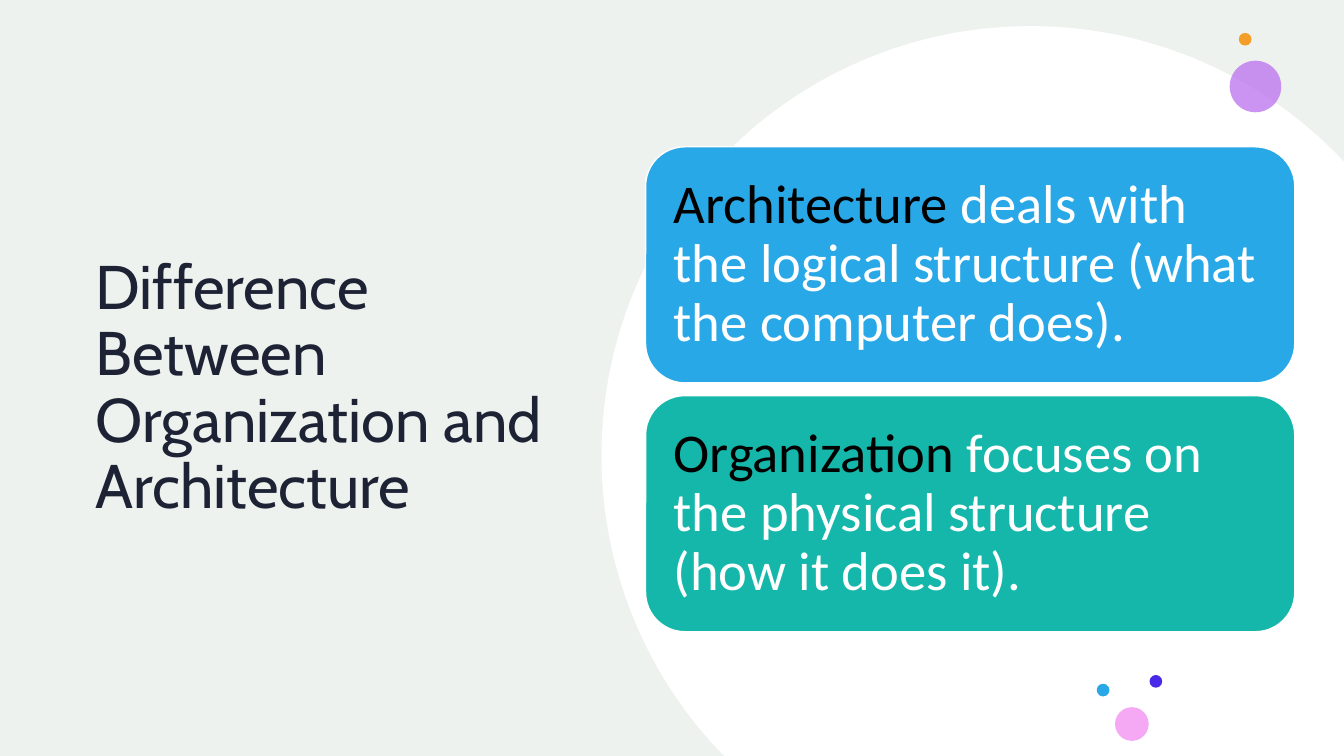
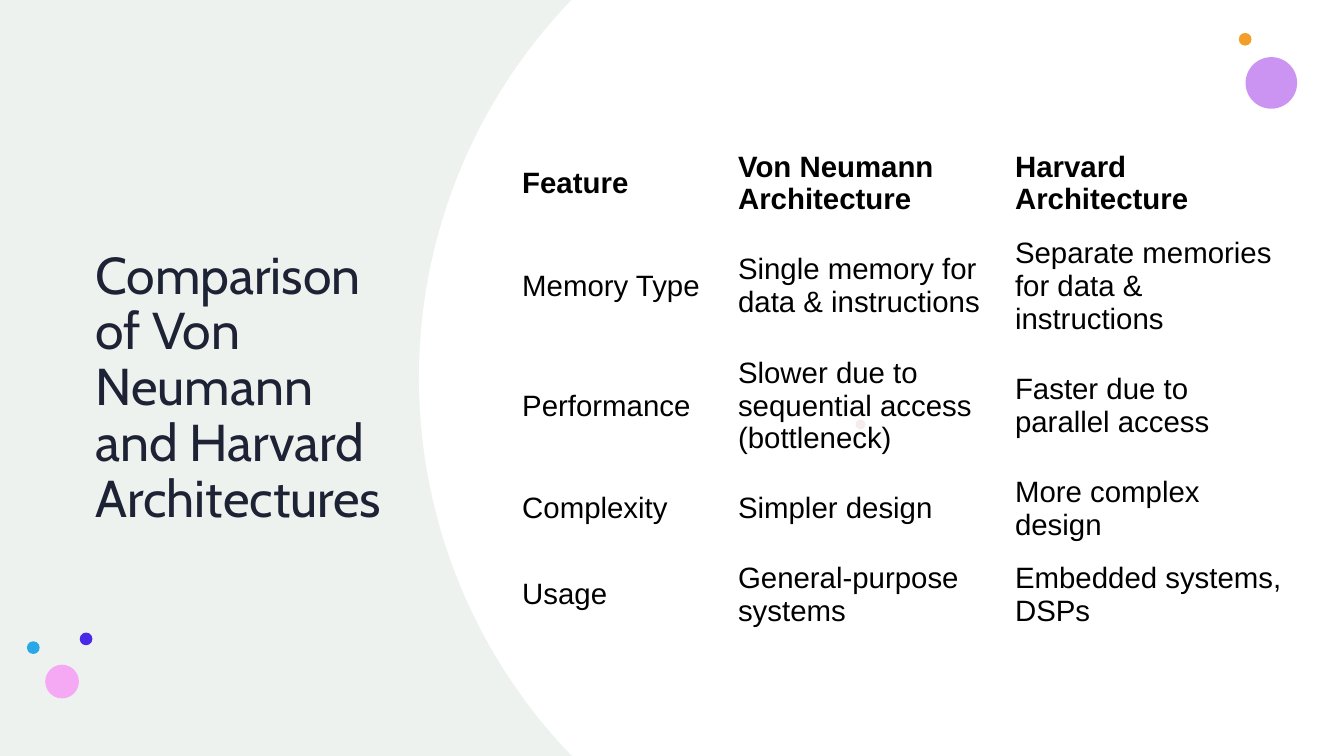
from math import cos, radians, sin, tan

from lxml.etree import SubElement
from pptx import Presentation
from pptx.dml.color import RGBColor
from pptx.enum.shapes import MSO_SHAPE as SHAPE
from pptx.enum.text import MSO_ANCHOR as ANCHOR, PP_ALIGN as ALIGN
from pptx.oxml.ns import qn
from pptx.util import Cm, Pt

PAGE = RGBColor(0xEE, 0xF2, 0xEE)
WHITE = RGBColor(0xFF, 0xFF, 0xFF)
BLACK = RGBColor(0x00, 0x00, 0x00)
INK = RGBColor(0x1D, 0x23, 0x34)
BLUE = RGBColor(0x29, 0xA8, 0xE7)
TEAL = RGBColor(0x14, 0xB7, 0xA9)
PURPLE = RGBColor(0xB8, 0x6B, 0xEF)
ORANGE = RGBColor(0xF3, 0x9E, 0x29)
VIOLET = RGBColor(0x48, 0x29, 0xE7)
PINK = RGBColor(0xF5, 0xA9, 0xF5)
ROSE = RGBColor(0xE3, 0xBE, 0xBE)

# All lengths below are centimetres.
SLIDE_W, SLIDE_H = 33.87, 19.05
TITLE_LEFT, TITLE_TOP, TITLE_H = 2.16, 2.64, 14.33
DOT = 0.32

# disc: centre x, centre y, radius, angles of the arc, slide corners after it
DIFFERENCE = {
    "title": "Difference Between Organization and Architecture",
    "title_size": 44, "title_width": 12.8,
    "disc": (25.98, 11.48, 10.82, (135.6, 180, 270, 316.8), [(SLIDE_W, SLIDE_H)]),
    "purple": (30.99, 1.53),
    "cluster": (27.64, 17.01),
}
CARDS = [
    (BLUE, "Architecture", " deals with the logical structure (what the computer does)."),
    (TEAL, "Organization", " focuses on the physical structure (how it does it)."),
]
CARD_LEFT, CARD_TOP, CARD_W, CARD_H, CARD_GAP = 16.27, 3.7, 16.36, 5.95, 0.32

COMPARISON = {
    "title": "Comparison of Von Neumann and Harvard Architectures",
    "title_size": 37, "title_width": 7.95,
    "disc": (24.26, 9.52, 13.7, (135.9, 180, 224.1),
             [(SLIDE_W, 0), (SLIDE_W, SLIDE_H)]),
    "purple": (31.39, 1.44),
    "cluster": (0.68, 15.94),
}
FEATURES = [
    ("Feature", "Von Neumann Architecture", "Harvard Architecture"),
    ("Memory Type", "Single memory for data & instructions",
     "Separate memories for data & instructions"),
    ("Performance", "Slower due to sequential access (bottleneck)",
     "Faster due to parallel access"),
    ("Complexity", "Simpler design", "More complex design"),
    ("Usage", "General-purpose systems", "Embedded systems, DSPs"),
]
TABLE_LEFT, TABLE_TOP = 12.89, 3.54
COL_WIDTHS = (5.44, 6.98, 7.34)
ROW_HEIGHTS = (2.16, 3.02, 3.02, 2.16, 2.16)


def set_all(obj, **values):
    for name, value in values.items():
        setattr(obj, name, value)


def paint(sp, color, alpha=None):
    """Solid fill without outline or shadow; alpha is a percentage."""
    sp.shadow.inherit = False
    sp.fill.solid()
    sp.fill.fore_color.rgb = color
    sp.line.fill.background()
    if alpha is not None:
        clr = sp.fill._xPr.find(qn("a:solidFill"))[0]
        SubElement(clr, qn("a:alpha"), val=str(alpha * 1000))


def add_run(p, text, color, **font):
    r = p.add_run()
    r.text = text
    set_all(r.font, **font)
    r.font.color.rgb = color


def add_dot(slide, left, top, size, color, alpha=None):
    sp = slide.shapes.add_shape(SHAPE.OVAL, Cm(left), Cm(top), Cm(size), Cm(size))
    paint(sp, color, alpha)


def add_disc(slide, cx, cy, radius, angles, corners):
    """White disc cut off at the slide edges, its arc drawn as Bézier curves."""
    def on_arc(angle, pull=0):
        a = radians(angle)
        return (cx + radius * (cos(a) - pull * sin(a)),
                cy + radius * (sin(a) + pull * cos(a)))

    points = [on_arc(angles[0])]
    for a, b in zip(angles, angles[1:]):
        pull = 4 / 3 * tan(radians(b - a) / 4)
        points += [on_arc(a, pull), on_arc(b, -pull), on_arc(b)]
    start, *rest = [(Cm(x), Cm(y)) for x, y in points + corners]
    outline = slide.shapes.build_freeform(*start)
    outline.add_line_segments(rest, close=True)
    sp = outline.convert_to_shape()

    lines = list(sp._element.iter(qn("a:lnTo")))
    for i in range(0, len(points) - 1, 3):
        curve = lines[i].getparent().makeelement(qn("a:cubicBezTo"))
        lines[i].addprevious(curve)
        for line in lines[i:i + 3]:
            curve.append(line[0])
            line.getparent().remove(line)
    paint(sp, WHITE)


def add_title(slide, text, size, width):
    box = slide.shapes.add_textbox(Cm(TITLE_LEFT), Cm(TITLE_TOP), Cm(width), Cm(TITLE_H))
    tf = box.text_frame
    set_all(tf, word_wrap=True, vertical_anchor=ANCHOR.MIDDLE)
    p = tf.paragraphs[0]
    p.line_spacing = 0.9
    add_run(p, text, INK, name="Cabin", size=Pt(size))


def add_base(prs, look):
    """New slide with the shared background, disc, dots and title."""
    slide = prs.slides.add_slide(prs.slide_layouts[6])
    slide.background.fill.solid()
    slide.background.fill.fore_color.rgb = PAGE
    add_disc(slide, *look["disc"])
    add_dot(slide, *look["purple"], 1.3, PURPLE, 72)
    add_dot(slide, 31.22, 0.83, DOT, ORANGE)
    left, top = look["cluster"]
    for dx, dy, size, color in ((1.33, 0, DOT, VIOLET), (0.46, 0.81, 0.85, PINK),
                                (0, 0.22, DOT, BLUE)):
        add_dot(slide, left + dx, top + dy, size, color)
    add_title(slide, look["title"], look["title_size"], look["title_width"])
    return slide


def add_cards(slide):
    for i, (color, term, rest) in enumerate(CARDS):
        top = CARD_TOP + i * (CARD_H + CARD_GAP)
        sp = slide.shapes.add_shape(SHAPE.ROUNDED_RECTANGLE, Cm(CARD_LEFT), Cm(top),
                                    Cm(CARD_W), Cm(CARD_H))
        paint(sp, color)
        sp.line.color.rgb = WHITE
        sp.line.width = Pt(1)
        tf = sp.text_frame
        inset = Cm(0.42)
        set_all(tf, word_wrap=True, vertical_anchor=ANCHOR.MIDDLE, margin_left=inset,
                margin_right=inset, margin_top=inset, margin_bottom=inset)
        p = tf.paragraphs[0]
        set_all(p, alignment=ALIGN.LEFT, line_spacing=0.9)
        for text, ink in ((term, BLACK), (rest, WHITE)):
            add_run(p, text, ink, name="Calibri", size=Pt(39))


def add_features(slide):
    frame = slide.shapes.add_table(len(FEATURES), len(COL_WIDTHS), Cm(TABLE_LEFT),
                                   Cm(TABLE_TOP), Cm(sum(COL_WIDTHS)), Cm(sum(ROW_HEIGHTS)))
    table = frame.table
    table.horz_banding = False
    for col, width in zip(table.columns, COL_WIDTHS):
        col.width = Cm(width)
    for i, (row, height) in enumerate(zip(table.rows, ROW_HEIGHTS)):
        row.height = Cm(height)
        for cell, text in zip(row.cells, FEATURES[i]):
            cell.fill.background()
            set_all(cell, vertical_anchor=ANCHOR.MIDDLE, margin_left=Cm(0.27),
                    margin_right=Cm(0.27), margin_top=Cm(0.14), margin_bottom=Cm(0.14))
            add_run(cell.text_frame.paragraphs[0], text, BLACK,
                    name="Arial", size=Pt(21), bold=i == 0)


def main():
    prs = Presentation()
    set_all(prs, slide_width=Cm(SLIDE_W), slide_height=Cm(SLIDE_H))
    add_cards(add_base(prs, DIFFERENCE))
    comparison = add_base(prs, COMPARISON)
    add_dot(comparison, 21.56, 10.57, 0.25, ROSE, 28)
    add_features(comparison)
    prs.save("out.pptx")


if __name__ == "__main__":
    main()
